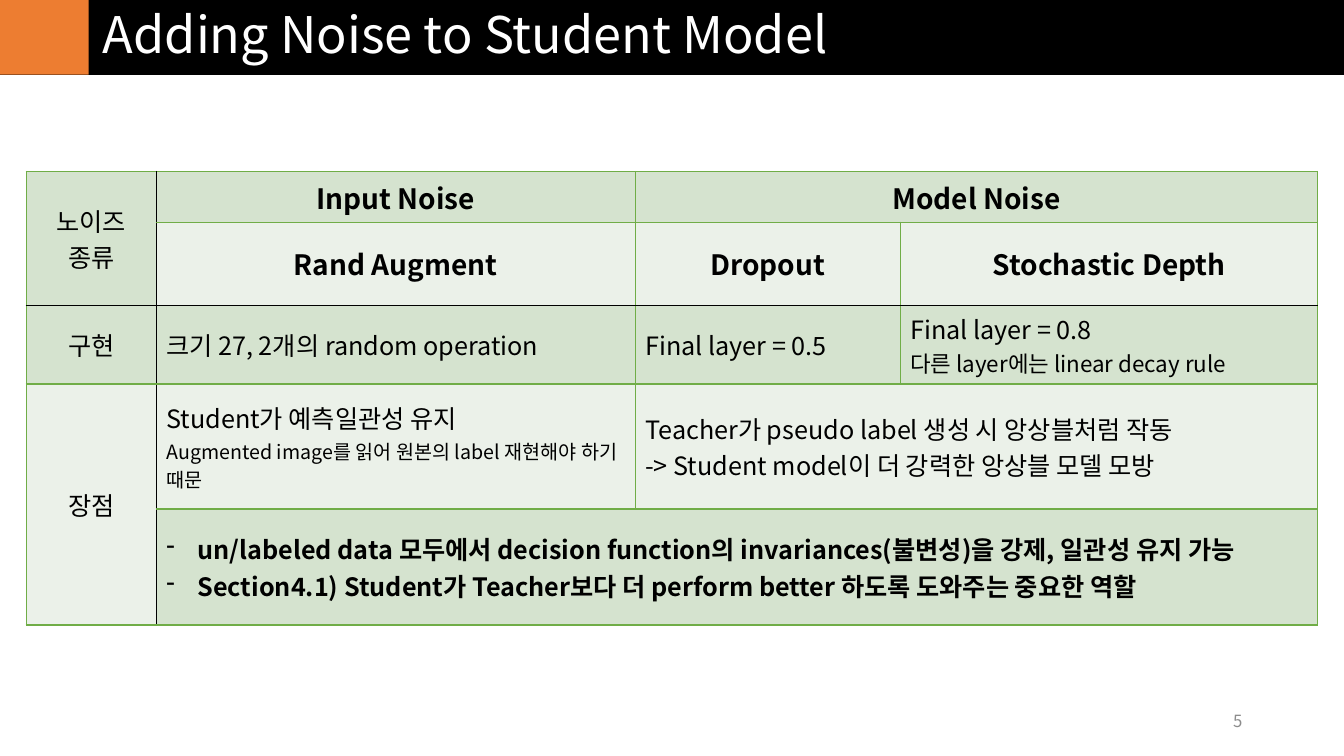
import lxml.etree
import pptx
import pptx.dml.color
import pptx.enum.shapes
import pptx.enum.text
import pptx.oxml.ns
import pptx.util

RGBColor = pptx.dml.color.RGBColor
BLACK = RGBColor(0x00, 0x00, 0x00)
WHITE = RGBColor(0xFF, 0xFF, 0xFF)
ORANGE = RGBColor(0xED, 0x7D, 0x31)
GRAY = RGBColor(0x8C, 0x8C, 0x8C)
GREEN = RGBColor(0x70, 0xAD, 0x47)
GREEN_TINT = RGBColor(0xD5, 0xE3, 0xCF)
PALE_TINT = RGBColor(0xEB, 0xF1, 0xE9)

FONT = "Noto Sans CJK KR"
GRID_STEP = 0.5  # inches in one column or row of the slide grid
SLIDE_COLUMNS, SLIDE_ROWS = 26.66, 15
BAR_ROWS = 1.48
LEFT = pptx.enum.text.PP_ALIGN.LEFT
CENTER = pptx.enum.text.PP_ALIGN.CENTER
RIGHT = pptx.enum.text.PP_ALIGN.RIGHT
MIDDLE = pptx.enum.text.MSO_ANCHOR.MIDDLE

TABLE_BOX = (0.52, 3.4, 25.62, 8.2)
COLUMN_WIDTHS = (2.58, 9.5, 5.26, 8.28)
ROW_HEIGHTS = (0.98, 0.96, 1.48, 2.48, 2.3)
HEADER_ROWS = 2

# (row, column): (row span, column span, fill, alignment, bold, bullet, lines of (text, size))
CELLS = {
    (0, 0): (2, 1, GREEN_TINT, CENTER, False, None, [("노이즈", 18), ("종류", 18)]),
    (0, 1): (1, 1, GREEN_TINT, CENTER, True, None, [("Input Noise", 20)]),
    (0, 2): (1, 2, GREEN_TINT, CENTER, True, None, [("Model Noise", 20)]),
    (1, 1): (1, 1, PALE_TINT, CENTER, True, None, [("Rand Augment", 20)]),
    (1, 2): (1, 1, PALE_TINT, CENTER, True, None, [("Dropout", 20)]),
    (1, 3): (1, 1, PALE_TINT, CENTER, True, None, [("Stochastic Depth", 20)]),
    (2, 0): (1, 1, GREEN_TINT, CENTER, False, None, [("구현", 18)]),
    (2, 1): (1, 1, GREEN_TINT, LEFT, False, None, [("크기 27, 2개의 random operation", 18)]),
    (2, 2): (1, 1, GREEN_TINT, LEFT, False, None, [("Final layer = 0.5", 18)]),
    (2, 3): (1, 1, GREEN_TINT, LEFT, False, None,
             [("Final layer = 0.8", 18), ("다른 layer에는 linear decay rule", 16)]),
    (3, 0): (2, 1, PALE_TINT, CENTER, False, None, [("장점", 18)]),
    (3, 1): (1, 1, PALE_TINT, LEFT, False, None,
             [("Student가 예측일관성 유지", 18),
              ("Augmented image를 읽어 원본의 label 재현해야 하기 때문", 14)]),
    (3, 2): (1, 2, PALE_TINT, LEFT, False, None,
             [("Teacher가 pseudo label 생성 시 앙상블처럼 작동", 18),
              ("-> Student model이 더 강력한 앙상블 모델 모방", 18)]),
    (4, 1): (1, 3, GREEN_TINT, LEFT, True, "-",
             [("un/labeled data 모두에서 decision function의 invariances(불변성)을 강제, "
               "일관성 유지 가능", 18),
              ("Section4.1) Student가 Teacher보다 더 perform better 하도록 도와주는 "
               "중요한 역할", 18)]),
}


def grid(steps):
    return pptx.util.Inches(steps * GRID_STEP)


def add_xml(parent, tag, **attributes):
    return lxml.etree.SubElement(parent, pptx.oxml.ns.qn(tag), attributes)


class SlideBuilder:
    """Holds the text style and the slide being drawn; boxes are in grid steps."""

    def __init__(self, presentation):
        self.font = FONT
        self.slide = presentation.slides.add_slide(presentation.slide_layouts[5])

    def style(self, paragraph, size, color, alignment, bold=False, bullet=None):
        paragraph.alignment = alignment
        font = paragraph.font
        font.name, font.size, font.bold = self.font, pptx.util.Pt(size), bold
        font.color.rgb = color
        properties = paragraph._p.pPr
        defaults = properties.find(pptx.oxml.ns.qn("a:defRPr"))
        add_xml(defaults, "a:ea", typeface=self.font)
        if bullet:
            indent = pptx.util.Inches(0.31)
            properties.set("marL", str(indent))
            properties.set("indent", str(-indent))
            defaults.addprevious(add_xml(properties, "a:buChar", char=bullet))

    def fill_text(self, frame, lines, color, alignment, bold=False, bullet=None):
        frame.word_wrap = True
        for index, (text, size) in enumerate(lines):
            paragraph = frame.add_paragraph() if index else frame.paragraphs[0]
            paragraph.text = text
            self.style(paragraph, size, color, alignment, bold, bullet)

    def rectangle(self, box, fill, line=None):
        shape = self.slide.shapes.add_shape(
            pptx.enum.shapes.MSO_SHAPE.RECTANGLE, *map(grid, box))
        shape.shadow.inherit = False
        shape.fill.solid()
        shape.fill.fore_color.rgb = fill
        if line is None:
            shape.line.fill.background()
        else:
            shape.line.color.rgb = line
            shape.line.width = pptx.util.Pt(1)

    def title(self, box, text, size, color):
        title = self.slide.shapes.title
        title.left, title.top, title.width, title.height = map(grid, box)
        frame = title.text_frame
        frame.auto_size = pptx.enum.text.MSO_AUTO_SIZE.NONE
        frame.vertical_anchor = MIDDLE
        self.fill_text(frame, [(text, size)], color, LEFT)
        frame.paragraphs[0].line_spacing = 0.9
        self.slide.shapes._spTree.append(title._element)  # in front of the bar

    def text(self, box, text, size, color, alignment):
        frame = self.slide.shapes.add_textbox(*map(grid, box)).text_frame
        frame.vertical_anchor = MIDDLE
        self.fill_text(frame, [(text, size)], color, alignment)

    def borders(self, cell, row, column, row_span):
        """Black lines part the headers from the body; all others are green."""
        last_row = row + row_span
        black_sides = {
            "a:lnL": column == 1,
            "a:lnR": column == 0,
            "a:lnT": row == HEADER_ROWS,
            "a:lnB": last_row == HEADER_ROWS,
        }
        properties = cell._tc.get_or_add_tcPr()
        for position, (side, is_black) in enumerate(black_sides.items()):
            line = add_xml(properties, side, w=str(pptx.util.Pt(1)))
            color = BLACK if is_black else GREEN
            add_xml(add_xml(line, "a:solidFill"), "a:srgbClr", val=str(color))
            properties.insert(position, line)

    def table(self, box, widths, heights, cells):
        table = self.slide.shapes.add_table(
            len(heights), len(widths), *map(grid, box)).table
        table.first_row = table.horz_banding = False
        for column, width in zip(table.columns, widths):
            column.width = grid(width)
        for row, height in zip(table.rows, heights):
            row.height = grid(height)
        for (row, column), content in cells.items():
            row_span, column_span, fill, alignment, bold, bullet, lines = content
            cell = table.cell(row, column)
            if row_span * column_span > 1:
                cell.merge(table.cell(row + row_span - 1, column + column_span - 1))
            cell.vertical_anchor = MIDDLE
            cell.fill.solid()
            cell.fill.fore_color.rgb = fill
            self.borders(cell, row, column, row_span)
            self.fill_text(cell.text_frame, lines, BLACK, alignment, bold, bullet)


def main():
    presentation = pptx.Presentation()
    presentation.slide_width = grid(SLIDE_COLUMNS)
    presentation.slide_height = grid(SLIDE_ROWS)
    builder = SlideBuilder(presentation)
    builder.rectangle((0, 0, SLIDE_COLUMNS, BAR_ROWS), BLACK, line=BLACK)
    builder.rectangle((0, 0, 1.76, BAR_ROWS), ORANGE)
    builder.text((18.84, 13.9, 6, 0.8), "5", 12, GRAY, RIGHT)
    builder.title((1.84, 0, 24.82, BAR_ROWS), "Adding Noise to Student Model", 36, WHITE)
    builder.table(TABLE_BOX, COLUMN_WIDTHS, ROW_HEIGHTS, CELLS)
    presentation.save("out.pptx")


if __name__ == "__main__":
    main()
